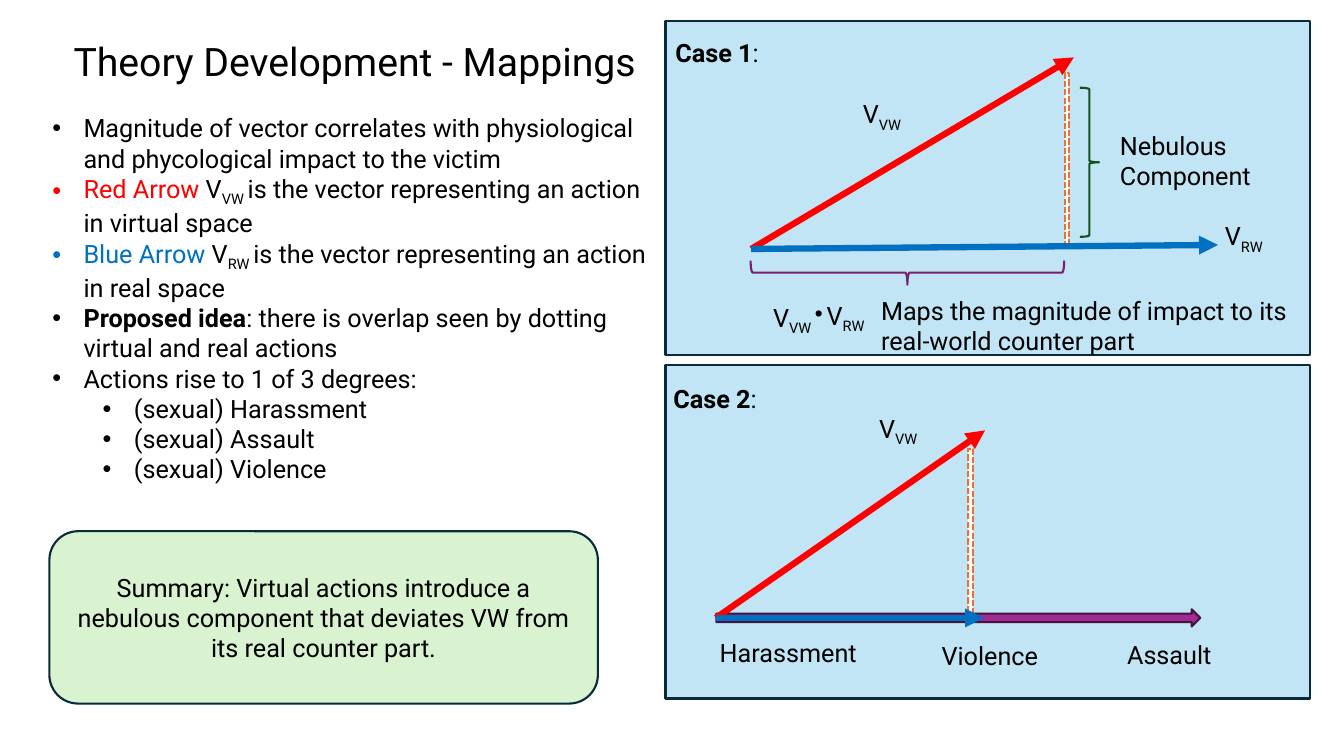
from lxml import etree
from pptx import Presentation, util as u
from pptx.dml.color import RGBColor
from pptx.enum import dml, shapes, text
from pptx.oxml.ns import qn

PX = 9144  # 100 px to the inch
FONT = "Roboto"
BLACK, RED, BLUE = "000000", "FF0000", "0070C0"
NAVY, ORANGE = "092A39", "E97132"
KIND = shapes.MSO_SHAPE

presentation = Presentation()
presentation.slide_width, presentation.slide_height = 1333 * PX, 750 * PX
slide = presentation.slides.add_slide(presentation.slide_layouts[5])


def color(value):
    return RGBColor.from_string(value)


def write(paragraph, parts, size=18):
    """Fill a paragraph with (wording, style) runs; style is b, sub or a colour."""
    for wording, style in parts:
        run = paragraph.add_run()
        run.text = wording
        run.font.name, run.font.size = FONT, u.Pt(size)
        run.font.bold = style == "b"
        run.font.color.rgb = color(style if len(style) == 6 else BLACK)
        if style == "sub":
            run.font._element.set("baseline", "-25000")


# Title
title = slide.shapes.title
title.left, title.top, title.width, title.height = [n * PX for n in (63, 32, 750, 57)]
title.text_frame.vertical_anchor = text.MSO_ANCHOR.TOP
title.text_frame.auto_size = text.MSO_AUTO_SIZE.NONE
title.text_frame.paragraphs[0].alignment = text.PP_ALIGN.LEFT
write(title.text_frame.paragraphs[0], [("Theory Development - Mappings", "")], 28)

# Panels, summary box, projections, braces, dot and severity arrow
# (kind, left, top, width, height, rotation, fill, line, dashed)
figures = [
    (KIND.RECTANGLE, 660, 362, 639, 331, 0, "C1E5F5", NAVY, False),
    (KIND.RECTANGLE, 660, 21, 639, 331, 0, "C1E5F5", NAVY, False),
    (KIND.DOWN_ARROW, 942, 373, 17, 480, 270, "A02B93", "461340", False),
    (KIND.LEFT_BRACE, 888, 115, 24, 311, 270, None, "78206E", False),
    (KIND.RIGHT_BRACE, 1071, 87, 19, 148, 0, None, "13501B", False),
    (KIND.OVAL, 810, 309, 4, 4, 0, BLACK, BLACK, False),
    (KIND.RECTANGLE, 960, 445, 5, 168, 0, "FFFFFF", ORANGE, True),
    (KIND.RECTANGLE, 1056, 72, 4, 171, 0, "FFFFFF", ORANGE, True),
    (KIND.ROUNDED_RECTANGLE, 49, 527, 544, 171, 0, "D9F2D0", NAVY, False),
]
for kind, left, top, width, height, rotation, fill, line, dashed in figures:
    shape = slide.shapes.add_shape(kind, left * PX, top * PX, width * PX, height * PX)
    shape.shadow.inherit = False
    shape.rotation = rotation
    if fill:
        shape.fill.solid()
        shape.fill.fore_color.rgb = color(fill)
    else:
        shape.fill.background()
    shape.line.color.rgb = color(line)
    shape.line.width = u.Pt(1.5)
    if dashed:
        shape.line.dash_style = dml.MSO_LINE.SQUARE_DOT
    if kind == KIND.ROUNDED_RECTANGLE:
        shape.text_frame.word_wrap = True
        shape.text_frame.vertical_anchor = text.MSO_ANCHOR.MIDDLE
        paragraph = shape.text_frame.paragraphs[0]
        paragraph.alignment = text.PP_ALIGN.CENTER
        write(paragraph, [("Summary: Virtual actions introduce a nebulous component "
                           "that deviates VW from its real counter part.", "")])

# Vectors of both cases
vectors = [
    (745, 247, 1065, 57, RED),
    (745, 247, 1208, 243, BLUE),
    (710, 613, 977, 427, RED),
    (710, 613, 976, 613, BLUE),
]
for x1, y1, x2, y2, line in vectors:
    vector = slide.shapes.add_connector(
        shapes.MSO_CONNECTOR.STRAIGHT, x1 * PX, y1 * PX, x2 * PX, y2 * PX)
    vector.line.color.rgb = color(line)
    vector.line.width = u.Pt(4.5)
    etree.SubElement(vector.line._get_or_add_ln(), qn("a:tailEnd"), type="triangle")
    etree.SubElement(vector._element.spPr, qn("a:effectLst"))

# Bullets and labels: (left, top, width, height, paragraphs)
virtual = [("V", ""), ("VW", "sub")]
real = [("V", ""), ("RW", "sub")]
bullets = [
    [("Magnitude of vector correlates with physiological and phycological "
      "impact to the victim", "")],
    [("Red Arrow ", RED), ("V", ""), ("VW ", "sub"),
     ("is the vector representing an action in virtual space", "")],
    [("Blue Arrow ", BLUE), ("V", ""), ("RW ", "sub"),
     ("is the vector representing an action in real space", "")],
    [("Proposed idea", "b"),
     (": there is overlap seen by dotting virtual and real actions", "")],
    [("Actions rise to 1 of 3 degrees:", "")],
    [("(sexual) Harassment", "")],
    [("(sexual) Assault", "")],
    [("(sexual) Violence", "")],
]
labels = [
    (42, 107, 618, 374, bullets),
    (660, 32, 532, 40, [[("Case 1", "b"), (":", "")]]),
    (846, 93, 73, 33, [virtual]),
    (1205, 214, 73, 33, [real]),
    (1101, 124, 177, 71, [[("Nebulous Component", "")]]),
    (757, 295, 287, 58, [virtual]),
    (810, 293, 73, 33, [real]),
    (864, 288, 441, 71,
     [[("Maps the magnitude of impact to its real-world counter part", "")]]),
    (658, 375, 532, 40, [[("Case 2", "b"), (":", "")]]),
    (862, 405, 61, 40, [virtual]),
    (704, 627, 160, 40, [[("Harassment", "")]]),
    (924, 630, 120, 40, [[("Violence", "")]]),
    (1108, 629, 111, 38, [[("Assault", "")]]),
]
for left, top, width, height, paragraphs in labels:
    box = slide.shapes.add_textbox(left * PX, top * PX, width * PX, height * PX)
    frame = box.text_frame
    frame.word_wrap = True
    for index, parts in enumerate(paragraphs):
        paragraph = frame.paragraphs[0] if index == 0 else frame.add_paragraph()
        write(paragraph, parts)
        if paragraphs is bullets:
            paragraph.level = 1 if index > 4 else 0
            properties = paragraph._p.get_or_add_pPr()
            properties.set("marL", str((81 if index > 4 else 31) * PX))
            properties.set("indent", str(-31 * PX))
            etree.SubElement(properties, qn("a:buFont"), typeface="Arial")
            etree.SubElement(properties, qn("a:buChar"), char="•")

presentation.save("out.pptx")
